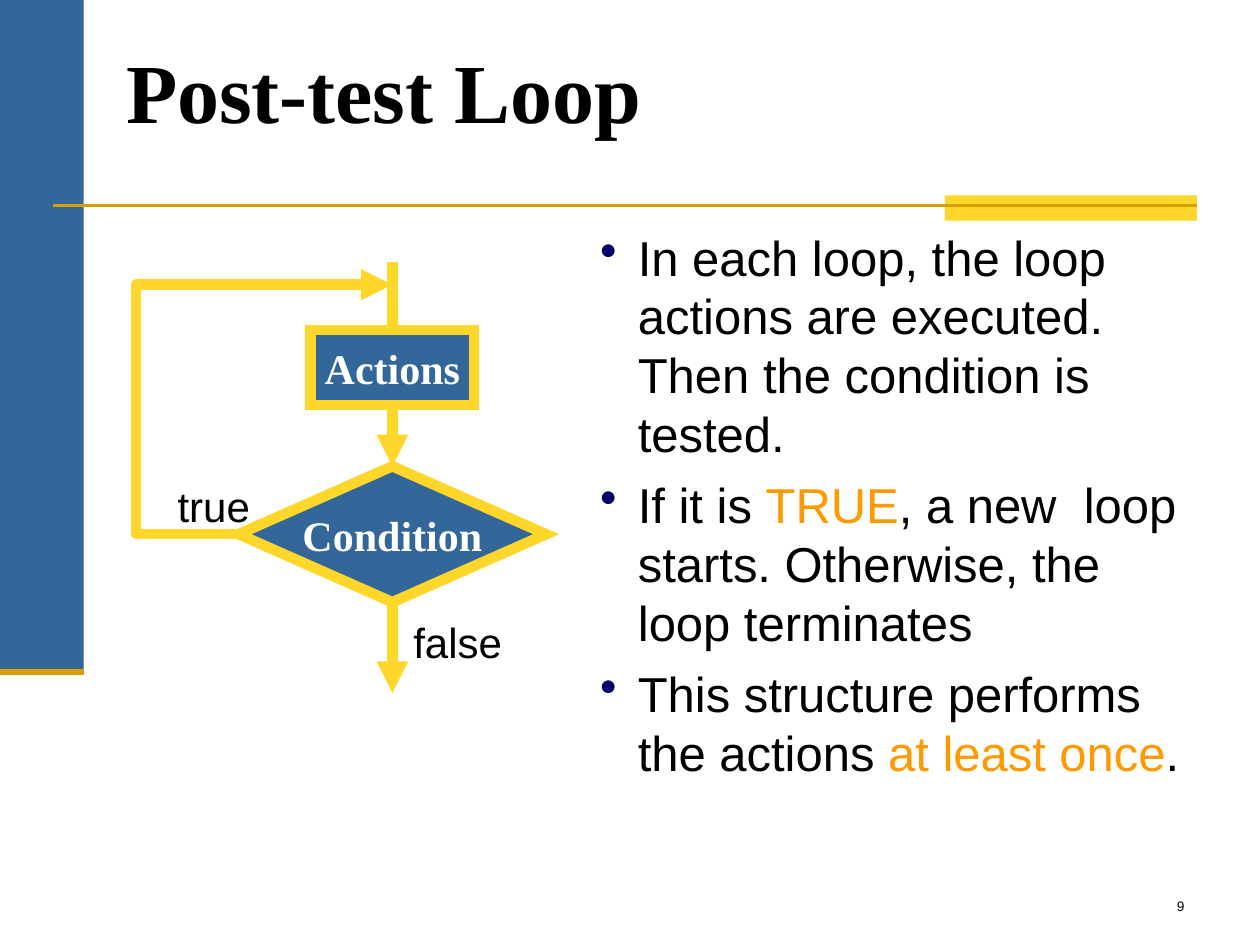
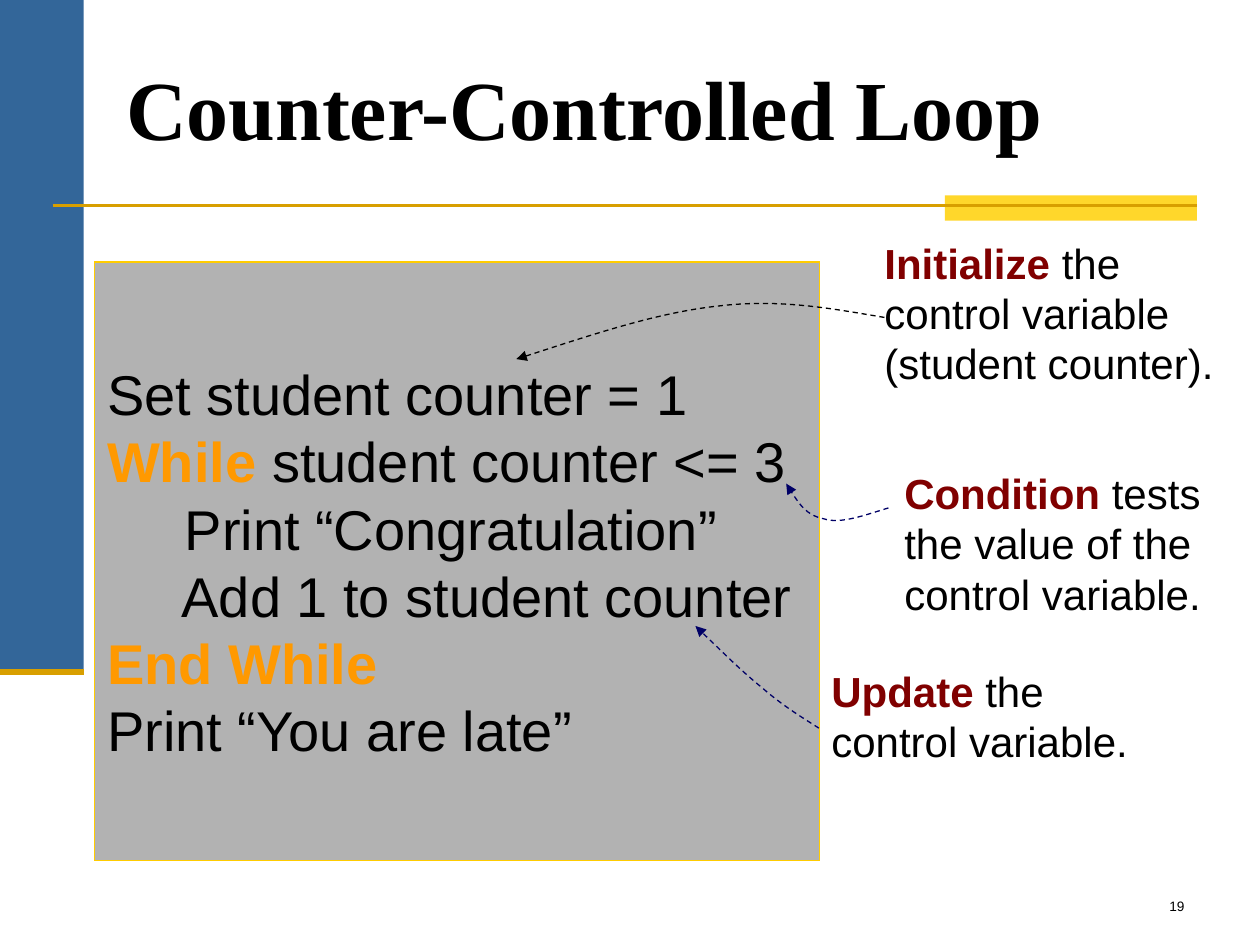
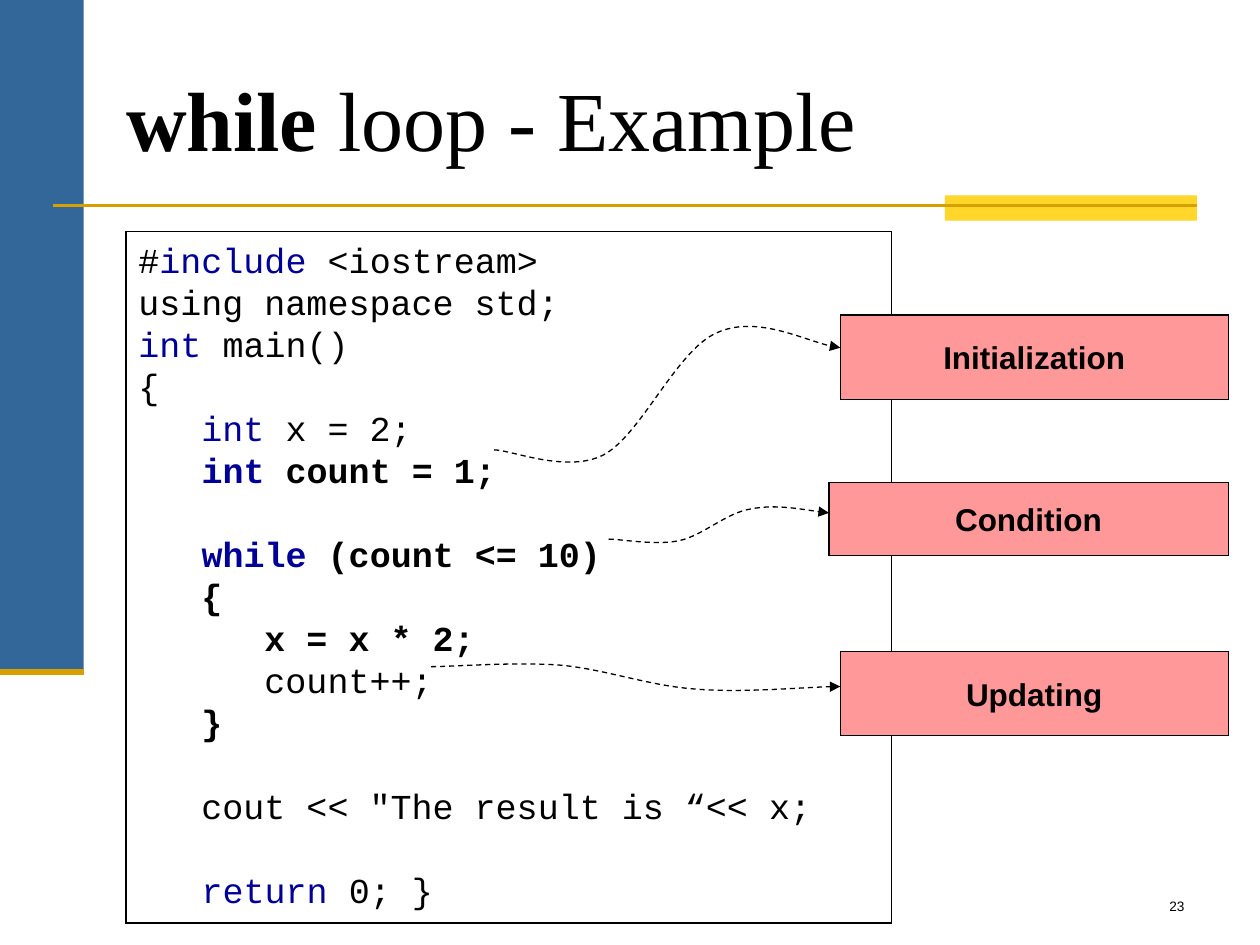
from dataclasses import dataclass

from pptx import Presentation
from pptx.dml.color import RGBColor
from pptx.enum.dml import MSO_LINE
from pptx.enum.shapes import MSO_CONNECTOR, MSO_SHAPE
from pptx.enum.text import MSO_ANCHOR, MSO_AUTO_SIZE, PP_ALIGN
from pptx.oxml.ns import qn
from pptx.oxml.xmlchemy import OxmlElement
from pptx.util import Cm, Pt

RECTANGLE = MSO_SHAPE.RECTANGLE
DECISION = MSO_SHAPE.FLOWCHART_DECISION
STRAIGHT = MSO_CONNECTOR.STRAIGHT
DASH = MSO_LINE.DASH
LEFT, CENTER, RIGHT = PP_ALIGN.LEFT, PP_ALIGN.CENTER, PP_ALIGN.RIGHT
TOP, MIDDLE, BOTTOM = MSO_ANCHOR.TOP, MSO_ANCHOR.MIDDLE, MSO_ANCHOR.BOTTOM
NO_AUTOFIT = MSO_AUTO_SIZE.NONE
TITLE_ONLY = 5


@dataclass(frozen=True)
class Theme:
    black: str = "000000"
    white: str = "FFFFFF"
    blue: str = "336699"
    yellow: str = "FFD72B"
    gold: str = "D89F00"
    frame: str = "FFCC00"
    gray: str = "B2B2B2"
    pink: str = "FF9999"
    orange: str = "FF9900"
    maroon: str = "800000"
    navy: str = "000066"
    keyword: str = "000099"
    serif: str = "Times New Roman"
    sans: str = "Arial"
    mono: str = "Courier New"
    title_size: float = 48
    pseudocode_size: float = 32
    body_size: float = 28
    note_size: float = 24
    code_size: float = 20
    tag_size: float = 18
    number_size: float = 7.8
    thin: float = 0.75
    rule: float = 1.5
    base: float = 3.5
    flow: float = 6


THEME = Theme()
TITLE = {"name": THEME.serif, "size": THEME.title_size, "bold": True}
FLOW = {"name": THEME.serif, "size": THEME.note_size, "bold": True, "color": THEME.white}
BODY = {"name": THEME.sans, "size": THEME.body_size}
NOTE = {"name": THEME.sans, "size": THEME.note_size}
PSEUDOCODE = {"name": THEME.sans, "size": THEME.pseudocode_size}
CODE = {"name": THEME.mono, "size": THEME.code_size}
TAG = {"name": THEME.sans, "size": THEME.tag_size, "bold": True}
NUMBER = {"name": THEME.sans, "size": THEME.number_size}

PLAIN = {}
BOLD = {"bold": True}
LIGHT = {"bold": False}
ORANGE = {"color": THEME.orange}
STRONG_ORANGE = {"color": THEME.orange, "bold": True}
STRONG_MAROON = {"color": THEME.maroon, "bold": True}
KEYWORD = {"color": THEME.keyword}
STRONG_KEYWORD = {"color": THEME.keyword, "bold": True}

BULLETS = [
    [("In each loop, the loop actions are executed. Then the condition is tested.", PLAIN)],
    [("If it is ", PLAIN), ("TRUE", ORANGE),
     (", a new  loop starts. Otherwise, the loop terminates", PLAIN)],
    [("This structure performs the actions ", PLAIN), ("at least once", ORANGE), (".", PLAIN)],
]
COUNTER_LINES = [
    [("Set student counter = 1", PLAIN)],
    [("While", STRONG_ORANGE), (" student counter <= 3", PLAIN)],
    [("     Print “Congratulation”", PLAIN)],
    [("     Add 1 to student counter", PLAIN)],
    [("End While", STRONG_ORANGE)],
    [("Print “You are late”", PLAIN)],
]
PROGRAM_LINES = [
    [("#", PLAIN), ("include", KEYWORD), (" <iostream>", PLAIN)],
    [("using namespace std;", PLAIN)],
    [("int", KEYWORD), (" main()", PLAIN)],
    [("{", PLAIN)],
    [("   int", KEYWORD), (" x = 2;", PLAIN)],
    [("   ", PLAIN), ("int", STRONG_KEYWORD), (" count = 1;", BOLD)],
    [("   ", PLAIN), ("while", STRONG_KEYWORD), (" (count <= 10)", BOLD)],
    [("   {", BOLD)],
    [("      x = x * 2;", BOLD)],
    [("      count++;", PLAIN)],
    [("   }", BOLD)],
    [("   cout << \"The result is “<< x;", PLAIN)],
    [("   ", PLAIN), ("return", KEYWORD), (" 0; }", PLAIN)],
]
PROGRAM_GAPS = {6: 24, 11: 24, 12: 24}

COUNTER_NOTES = [
    ("Initialize", " the control variable (student counter).", (17.58, 4.65, 7.19, 3.3), TOP),
    ("Condition", " tests the value of the control variable.", (17.98, 9.3, 6.65, 3.3), MIDDLE),
    ("Update", " the control variable.", (16.51, 13.28, 7.16, 2.29), MIDDLE),
]
COUNTER_CURVES = [
    (THEME.black, [(17.83, 6.4), (16.76, 6.22), (15.72, 6.02), (14.48, 6.17),
                   (13.26, 6.3), (11.84, 6.78), (10.41, 7.24)]),
    (THEME.navy, [(17.91, 10.24), (17.42, 10.39), (16.94, 10.57), (16.61, 10.46),
                  (16.26, 10.39), (16.05, 10.08), (15.85, 9.75)]),
    (THEME.navy, [(16.51, 14.68), (16.15, 14.45), (15.77, 14.22), (15.37, 13.87),
                  (14.96, 13.54), (14.5, 13.08), (14.02, 12.62)]),
]
PROGRAM_TAGS = [
    ("Initialization", (16.94, 6.35, 7.82, 1.7),
     [(9.96, 9.07), (10.31, 9.07), (11.43, 9.55), (12.17, 9.17), (12.93, 8.76),
      (13.64, 7.06), (14.45, 6.71), (15.24, 6.35), (16.41, 6.96), (16.94, 7.01)]),
    ("Condition", (16.71, 9.73, 8.05, 1.47),
     [(12.27, 10.87), (12.52, 10.87), (13.21, 11), (13.69, 10.9), (14.17, 10.8),
      (14.63, 10.34), (15.14, 10.26), (15.65, 10.16), (16.38, 10.31), (16.71, 10.34)]),
    ("Updating", (16.94, 13.13, 7.82, 1.7),
     [(8.69, 13.44), (9.12, 13.44), (10.41, 13.34), (11.3, 13.41), (12.19, 13.49),
      (13.06, 13.82), (14, 13.89), (14.94, 13.97), (16.33, 13.84), (16.94, 13.84)]),
]


def centimetres(values):
    return [Cm(value) for value in values]


def set_attributes(target, values):
    for name, value in values.items():
        setattr(target, name, value)


def write_text(shape, paragraphs, style, align=LEFT, anchor=TOP, wrap=True,
               margins=(0.25, 0.13, 0.25, 0.13), gaps=None):
    frame = shape.text_frame
    left, top, right, bottom = centimetres(margins)
    set_attributes(frame, {
        "auto_size": NO_AUTOFIT, "word_wrap": wrap, "vertical_anchor": anchor,
        "margin_left": left, "margin_top": top,
        "margin_right": right, "margin_bottom": bottom,
    })
    for index, runs in enumerate(paragraphs):
        paragraph = frame.add_paragraph() if index else frame.paragraphs[0]
        set_attributes(paragraph, {
            "alignment": align, "space_before": Pt((gaps or {}).get(index, 0)),
        })
        for text, changes in runs:
            values = {"bold": False, "color": THEME.black, **style, **changes}
            color = values.pop("color")
            values["size"] = Pt(values["size"])
            run = paragraph.add_run()
            run.text = text
            set_attributes(run.font, values)
            run.font.color.rgb = RGBColor.from_string(color)


def format_line(shape, color, width, dash=None):
    shape.line.color.rgb = RGBColor.from_string(color)
    set_attributes(shape.line, {"width": Pt(width), "dash_style": dash})


def add_line_detail(shape, tag, **attributes):
    detail = OxmlElement(tag)
    for name, value in attributes.items():
        detail.set(name, value)
    shape.element.spPr.find(qn("a:ln")).append(detail)


def add_box(slide, area, fill, line=None, kind=RECTANGLE):
    shape = slide.shapes.add_shape(kind, *centimetres(area))
    shape.shadow.inherit = False
    shape.fill.solid()
    shape.fill.fore_color.rgb = RGBColor.from_string(fill)
    if line:
        format_line(shape, *line)
        add_line_detail(shape, "a:miter", lim="800000")
    else:
        shape.line.fill.background()
    return shape


def add_label(slide, area, paragraphs, style, **options):
    shape = slide.shapes.add_textbox(*centimetres(area))
    write_text(shape, paragraphs, style, **options)
    return shape


def add_line(slide, ends, color, width, arrow=False):
    connector = slide.shapes.add_connector(STRAIGHT, *centimetres(ends))
    format_line(connector, color, width)
    if arrow:
        add_line_detail(connector, "a:tailEnd", type="triangle")
    connector.element.spPr.append(OxmlElement("a:effectLst"))
    return connector


def add_arrow_outline(slide, points, color, width, dash=None):
    start, *others = [centimetres(point) for point in points]
    builder = slide.shapes.build_freeform(*start)
    builder.add_line_segments(others, close=False)
    shape = builder.convert_to_shape()
    shape.shadow.inherit = False
    shape.fill.background()
    format_line(shape, color, width, dash)
    add_line_detail(shape, "a:round")
    add_line_detail(shape, "a:tailEnd", type="triangle")
    return shape


def add_curved_arrow(slide, points, color):
    shape = add_arrow_outline(slide, points, color, THEME.thin, DASH)
    outline = next(shape.element.iter(qn("a:path")))
    segments = outline.findall(qn("a:lnTo"))
    for first in range(0, len(segments), 3):
        curve = OxmlElement("a:cubicBezTo")
        for segment in segments[first:first + 3]:
            curve.append(segment[0])
            outline.remove(segment)
        outline.append(curve)


def add_bullets(shape):
    for paragraph in shape.text_frame.paragraphs:
        properties = paragraph._p.get_or_add_pPr()
        properties.set("marL", str(Cm(0.76)))
        properties.set("indent", str(-Cm(0.76)))
        bullet_color = OxmlElement("a:buClr")
        color = OxmlElement("a:srgbClr")
        color.set("val", THEME.navy)
        bullet_color.append(color)
        bullet = OxmlElement("a:buChar")
        bullet.set("char", "•")
        properties.append(bullet_color)
        properties.append(bullet)


def decorate_layout(layout, slide):
    for placeholder in list(layout.placeholders)[1:]:
        layout.shapes.element.remove(placeholder.element)
    decorations = [
        add_box(slide, (0, 0, 1.69, 13.55), THEME.blue),
        add_box(slide, (19.05, 3.94, 5.08, 0.51), THEME.yellow),
        add_line(slide, (1.06, 4.14, 24.13, 4.14), THEME.gold, THEME.rule),
        add_line(slide, (0, 13.55, 1.69, 13.55), THEME.gold, THEME.base),
    ]
    for decoration in decorations:
        layout.shapes.element.append(decoration.element)


def add_titled_slide(presentation, title_runs, title_area, number):
    slide = presentation.slides.add_slide(presentation.slide_layouts[TITLE_ONLY])
    title = slide.shapes.title
    names = ("left", "top", "width", "height")
    set_attributes(title, dict(zip(names, centimetres(title_area))))
    write_text(title, [title_runs], TITLE, anchor=BOTTOM, margins=(0, 0.13, 0, 0))
    add_label(slide, (18.85, 17.98, 5.28, 0.64), [[(number, PLAIN)]], NUMBER, align=RIGHT)
    return slide


def add_post_test_flow(slide):
    axis = 7.91
    line = (THEME.yellow, THEME.flow)
    steps = [
        ("Condition", DECISION, 9.4, 6.2, 2.74),
        ("Actions", RECTANGLE, 6.65, 3.3, 1.52),
    ]
    for text, kind, top, width, height in steps:
        box = add_box(slide, (axis - width / 2, top, width, height), THEME.blue, line, kind)
        write_text(box, [[(text, PLAIN)]], FLOW, align=CENTER, anchor=MIDDLE, wrap=False)
    for text, area in (("true", (3.33, 9.55, 1.96, 1.27)), ("false", (8.08, 12.29, 2.29, 1.27))):
        add_label(slide, area, [[(text, PLAIN)]], NOTE, align=RIGHT, wrap=False)
    for start, end, arrow in ((8.18, 9.4, True), (12.14, 13.97, True), (5.28, 6.65, False)):
        add_line(slide, (axis, start, axis, end), *line, arrow=arrow)
    add_arrow_outline(slide, [(4.9, 10.77), (2.74, 10.77), (2.74, 5.74), (axis, 5.74)], *line)


def build_post_test_loop(presentation):
    slide = add_titled_slide(presentation, [("Post-test Loop", PLAIN)],
                             (2.54, 0.76, 21.59, 2.06), "9")
    body = add_label(slide, (11.85, 4.45, 12.28, 12.57), BULLETS, BODY, gaps={1: 7, 2: 7})
    add_bullets(body)
    add_post_test_flow(slide)
    return slide


def build_counter_loop(presentation):
    slide = add_titled_slide(presentation, [("Counter-Controlled Loop", PLAIN)],
                             (2.54, 0.76, 21.59, 2.41), "19")
    box = add_box(slide, (1.91, 5.28, 14.61, 12.07), THEME.gray, (THEME.frame, THEME.thin))
    write_text(box, COUNTER_LINES, PSEUDOCODE, anchor=MIDDLE, wrap=False)
    for term, rest, area, anchor in COUNTER_NOTES:
        runs = [(term, STRONG_MAROON), (rest, PLAIN)]
        add_label(slide, area, [runs], NOTE, anchor=anchor)
    for color, points in COUNTER_CURVES:
        add_curved_arrow(slide, points, color)


def build_while_example(presentation):
    slide = add_titled_slide(presentation, [("while", PLAIN), (" loop - Example", LIGHT)],
                             (2.54, 1.06, 20.11, 2.33), "23")
    border = (THEME.black, THEME.thin)
    program = add_box(slide, (2.54, 4.67, 15.44, 13.94), THEME.white, border)
    write_text(program, PROGRAM_LINES, CODE, gaps=PROGRAM_GAPS)
    for text, area, points in PROGRAM_TAGS:
        tag = add_box(slide, area, THEME.pink, border)
        write_text(tag, [[(text, PLAIN)]], TAG, align=CENTER, anchor=MIDDLE, wrap=False)
        add_curved_arrow(slide, points, THEME.black)


def main():
    presentation = Presentation()
    presentation.slide_width = Cm(25.4)
    presentation.slide_height = Cm(19.05)
    first_slide = build_post_test_loop(presentation)
    decorate_layout(presentation.slide_layouts[TITLE_ONLY], first_slide)
    build_counter_loop(presentation)
    build_while_example(presentation)
    presentation.save("out.pptx")


if __name__ == "__main__":
    main()
